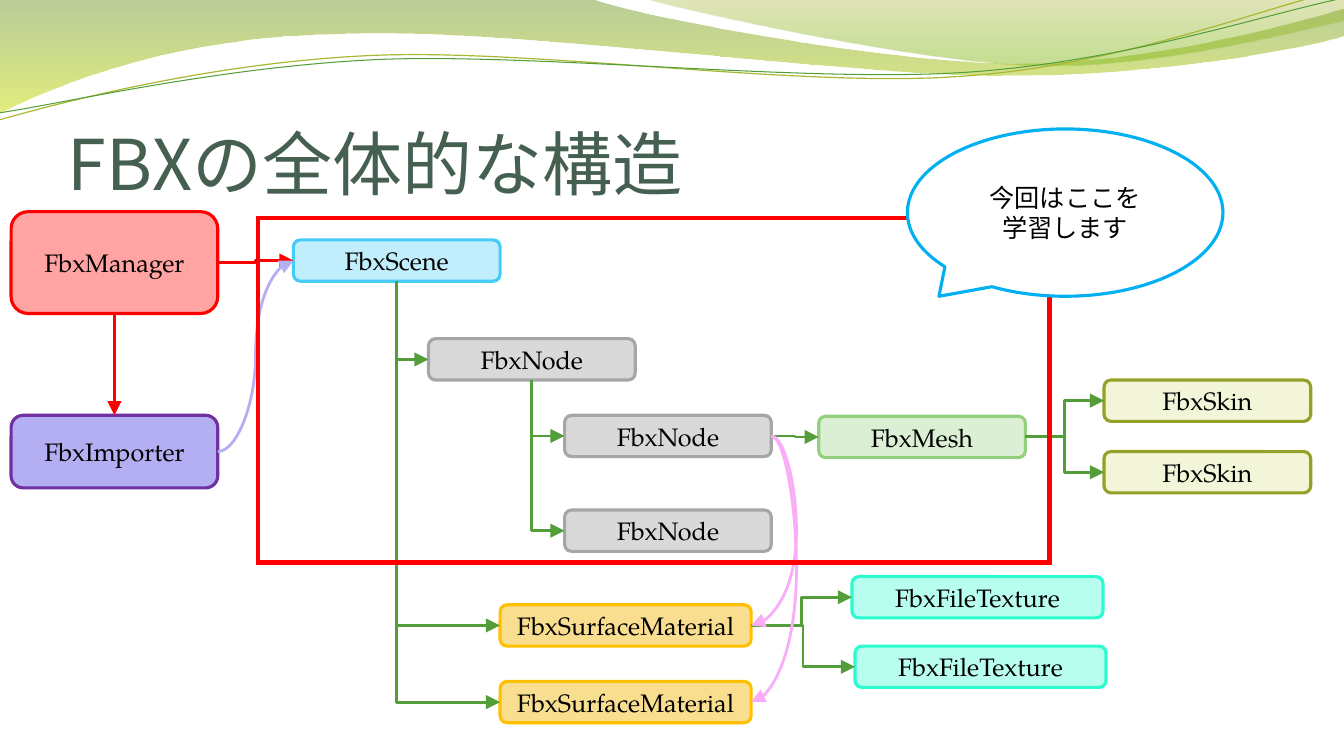
from pptx import Presentation
from pptx.dml.color import RGBColor
from pptx.enum.shapes import MSO_CONNECTOR, MSO_SHAPE
from pptx.enum.text import MSO_ANCHOR, MSO_AUTO_SIZE, PP_ALIGN
from pptx.oxml.ns import qn
from pptx.util import Inches, Pt
from lxml.etree import SubElement

TITLE = "FBXの全体的な構造"
CALLOUT = ["今回はここを", "学習します"]
TITLE_FONT, BODY_FONT = "Noto Sans CJK JP", "TeX Gyre Pagella"
GREEN, RED, LILAC, PINK = "549E39", "FF0000", "B4AFF3", "F9ADF7"

# Kind of box: label, width, fill, outline
KINDS = {
    "manager": ("FbxManager", 2.05, "FFA3A3", RED),
    "importer": ("FbxImporter", 2.05, LILAC, "7030A0"),
    "scene": ("FbxScene", 2.05, "C1EEFC", "46CCF6"),
    "node": ("FbxNode", 2.05, "D9D9D9", "A6A6A6"),
    "mesh": ("FbxMesh", 2.05, "DBEFD4", "93D07D"),
    "skin": ("FbxSkin", 2.05, "F2F5D8", "94A027"),
    "material": ("FbxSurfaceMaterial", 2.49, "FADE90", "FFC000"),
    "texture": ("FbxFileTexture", 2.49, "B8FEEF", "2BFCCF"),
}
# Box: kind, left, top, height
BOXES = {
    "root node": ("node", 4.25, 3.36, 0.41),
    "scene": ("scene", 2.91, 2.38, 0.41),
    "node 1": ("node", 5.6, 4.12, 0.41),
    "node 2": ("node", 5.6, 5.06, 0.41),
    "mesh": ("mesh", 8.12, 4.13, 0.41),
    "skin 1": ("skin", 10.95, 3.77, 0.41),
    "skin 2": ("skin", 10.95, 4.48, 0.41),
    "material 1": ("material", 4.96, 6, 0.41),
    "material 2": ("material", 4.96, 6.76, 0.41),
    "manager": ("manager", 0.11, 2.1, 1.01),
    "importer": ("importer", 0.11, 4.12, 0.72),
    "texture 1": ("texture", 8.45, 5.72, 0.41),
    "texture 2": ("texture", 8.48, 6.41, 0.41),
}
# Arrow: from, to, route, colour
ARROWS = [
    ("scene", "root node", "down", GREEN),
    ("root node", "node 1", "down", GREEN),
    ("root node", "node 2", "down", GREEN),
    ("node 1", "mesh", "across", GREEN),
    ("mesh", "skin 1", "across", GREEN),
    ("mesh", "skin 2", "across", GREEN),
    ("scene", "material 1", "down", GREEN),
    ("scene", "material 2", "down", GREEN),
    ("manager", "scene", "across", RED),
    ("manager", "importer", "straight", RED),
    ("importer", "scene", "curve", LILAC),
    ("material 1", "texture 1", "across", GREEN),
    ("material 1", "texture 2", "across", GREEN),
    ("node 1", "material 2", "bulge", PINK),
    ("node 1", "material 1", "bulge", PINK),
]
# Route: connector type, side it leaves, side it reaches
ROUTES = {
    "straight": (MSO_CONNECTOR.STRAIGHT, 2, 0),
    "across": (MSO_CONNECTOR.ELBOW, 3, 1),
    "down": (MSO_CONNECTOR.ELBOW, 2, 1),
    "curve": (MSO_CONNECTOR.CURVE, 3, 1),
    "bulge": (MSO_CONNECTOR.CURVE, 3, 3),
}
BULGE = 0.25  # inches that a bulging curve swings out to the right

# Wave: points (2 numbers = straight to, 6 = Bezier to), then its paint
FILLED_WAVES = [
    ([(0, 0), (5.87, -0.01), (6.34, 0.17, 8.84, 0.63, 10.11, 0.63),
      (11.37, 0.63, 12.77, 0.26, 13.33, 0.09), (13.34, 0.36),
      (13.11, 0.44, 11.59, 0.76, 9.94, 0.75), (8.29, 0.75, 5.09, 0.28, 3.43, 0.34),
      (1.72, 0.36, 0.61, 0.83, -0.02, 1.13)],
     [(0, "69921C", 45), (1, "CCE10F", 55)]),
    ([(6.38, -0.01), (6.79, 0.11, 9.09, 0.62, 10.25, 0.65),
      (11.4, 0.69, 12.82, 0.32, 13.33, 0.21), (13.33, 0)],
     [(0, "9BAA1A", 30), (0.8, "81BA16", 45)]),
]
WAVE_LINES = [
    ([(-0.01, 1.19), (0.63, 1.01, 2.1, 0.62, 3.69, 0.55),
      (5.27, 0.48, 7.89, 0.87, 9.49, 0.76), (11.1, 0.66, 12.51, 0.08, 13.3, -0.1)],
     "A9B733", 0.85),
    ([(-0.01, 1.12), (0.62, 1.03, 2.18, 0.66, 3.77, 0.59),
      (5.37, 0.53, 7.96, 0.82, 9.55, 0.72), (11.14, 0.62, 12.55, 0.14, 13.33, -0.02)],
     GREEN, 0.75),
]

prs = Presentation()
prs.slide_width, prs.slide_height = Inches(13.33), Inches(7.5)
slide = prs.slides.add_slide(prs.slide_layouts[5])


def paint(colour_format, colour):
    colour_format.rgb = RGBColor.from_string(colour)


def style(shape, fill, outline, width):
    shape.shadow.inherit = False
    if fill:
        shape.fill.solid()
        paint(shape.fill.fore_color, fill)
    else:
        shape.fill.background()
    paint(shape.line.color, outline)
    shape.line.width = Pt(width)


def write(shape, lines, font, size, colour, align):
    frame = shape.text_frame
    frame.word_wrap = True
    frame.text = "\n".join(lines)
    for paragraph in frame.paragraphs:
        paragraph.alignment = align
        paragraph.font.name, paragraph.font.size = font, Pt(size)
        paint(paragraph.font.color, colour)


def add_box(preset, left, top, width, height):
    return slide.shapes.add_shape(
        preset, Inches(left), Inches(top), Inches(width), Inches(height))


def add_wave(steps, close):
    first, *rest = [(Inches(step[i]), Inches(step[i + 1]))
                    for step in steps for i in range(0, len(step), 2)]
    builder = slide.shapes.build_freeform(*first)
    builder.add_line_segments(rest, close=close)
    wave = builder.convert_to_shape()
    wave.shadow.inherit = False
    # Join the three segments of each six-number step into one Bezier curve
    segments = iter(list(wave._element.spPr.iter(qn("a:lnTo"))))
    for step in steps[1:]:
        curve = next(segments)
        if len(step) == 6:
            curve.tag = qn("a:cubicBezTo")
            for extra in (next(segments), next(segments)):
                curve.append(extra[0])
                extra.getparent().remove(extra)
    return wave


def add_arrow(source, target, route, colour):
    kind, leave, reach = ROUTES[route]
    arrow = slide.shapes.add_connector(kind, 0, 0, 0, 0)
    arrow.begin_connect(source, leave)
    arrow.end_connect(target, reach)
    paint(arrow.line.color, colour)
    arrow.line.width = Pt(2)
    properties = arrow._element.spPr
    SubElement(properties.find(qn("a:ln")), qn("a:tailEnd"),
               type="triangle", w="lg", len="lg")
    SubElement(properties, qn("a:effectLst"))
    geometry = properties.find(qn("a:prstGeom"))
    if route == "down":  # one bend: a quarter-turned box around the same centre
        x, y, dx, dy = arrow.left, arrow.top, arrow.width, arrow.height
        arrow.left, arrow.top = x + (dx - dy) // 2, y + (dy - dx) // 2
        arrow.width, arrow.height = dy, dx
        geometry.set("prst", "bentConnector2")
        frame = properties.find(qn("a:xfrm"))
        frame.set("rot", "16200000")
        frame.set("flipH", "1")
    elif route == "bulge":
        adjust = round(-100000 * Inches(BULGE) / arrow.width)
        SubElement(geometry.find(qn("a:avLst")), qn("a:gd"),
                   name="adj1", fmla=f"val {adjust}")


# Waves along the top
for steps, stops in FILLED_WAVES:
    wave = add_wave(steps, True)
    wave.line.fill.background()
    wave.fill.gradient()
    wave.fill.gradient_angle = 270
    for stop, (position, colour, _) in zip(wave.fill.gradient_stops, stops):
        stop.position = position
        paint(stop.color, colour)
    for node, (_, _, opacity) in zip(wave._element.spPr.iter(qn("a:srgbClr")), stops):
        SubElement(node, qn("a:alpha"), val=str(opacity * 1000))
for steps, colour, width in WAVE_LINES:
    style(add_wave(steps, False), None, colour, width)

# Title
title = slide.shapes.title
title.left, title.top, title.width, title.height = map(Inches, (0.67, 0.77, 12, 1.25))
write(title, [TITLE], TITLE_FONT, 50, "455F51", PP_ALIGN.LEFT)
title_frame = title.text_frame
title_frame.auto_size = MSO_AUTO_SIZE.NONE
title_frame.vertical_anchor = MSO_ANCHOR.BOTTOM
title_frame.margin_left = title_frame.margin_right = title_frame.margin_bottom = 0
title_frame.paragraphs[0].line_spacing = 0.8

# Class boxes and the arrows between them
boxes = {}
for key, (kind, left, top, height) in BOXES.items():
    label, width, fill, outline = KINDS[kind]
    boxes[key] = add_box(MSO_SHAPE.ROUNDED_RECTANGLE, left, top, width, height)
    style(boxes[key], fill, outline, 2.25)
    write(boxes[key], [label], BODY_FONT, 18, "000000", PP_ALIGN.CENTER)
for source, target, route, colour in ARROWS:
    add_arrow(boxes[source], boxes[target], route, colour)

# Frame around today's topic, and its callout
topic = add_box(MSO_SHAPE.RECTANGLE, 2.56, 2.16, 7.85, 3.42)
style(topic, None, RED, 3)
SubElement(topic._element.spPr.find(qn("a:ln")), qn("a:miter"), lim="800000")
callout = add_box(MSO_SHAPE.OVAL_CALLOUT, 9, 1.28, 3.13, 1.66)
callout.adjustments[0], callout.adjustments[1] = -0.4, 0.5
style(callout, "FFFFFF", "00B0F0", 2.25)
write(callout, CALLOUT, BODY_FONT, 18, "000000", PP_ALIGN.CENTER)

prs.save("out.pptx")
